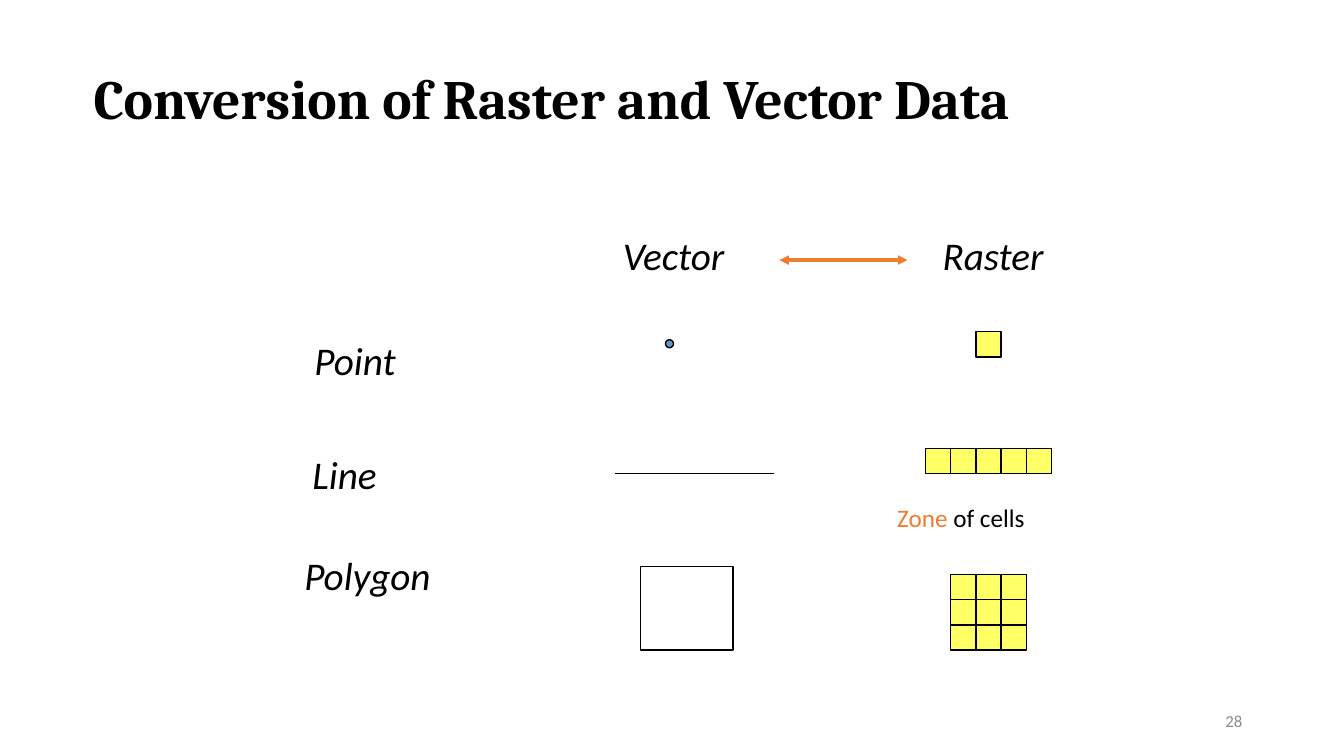
import pptx
import pptx.util
import pptx.dml.color
import pptx.enum.shapes
import pptx.enum.text
import pptx.oxml.ns
import lxml.etree

PX = 9144  # EMU per px, 100 px to the inch
THEME = {
    "ink": "000000", "accent": "ED7D31", "cell": "FFFF66", "dot": "5B9BD5", "muted": "8C8C8C",
    "heading": "Cambria", "body": "Calibri",
    "title_pt": 39.6, "label_pt": 28, "note_pt": 18, "number_pt": 12,
}
SHAPE = pptx.enum.shapes.MSO_SHAPE
ANCHOR = pptx.enum.text.MSO_ANCHOR
ALIGN = pptx.enum.text.PP_ALIGN

prs = pptx.Presentation()
prs.slide_width, prs.slide_height = 1333 * PX, 750 * PX
s = prs.slides.add_slide(prs.slide_layouts[6])


def add_text(box, runs, size, font="body", bold=False, italic=False,
             anchor=ANCHOR.TOP, align=ALIGN.LEFT):
    tf = s.shapes.add_textbox(*(v * PX for v in box)).text_frame
    tf.word_wrap = True
    tf.vertical_anchor = anchor
    p = tf.paragraphs[0]
    p.alignment = align
    for text, color in runs:
        r = p.add_run()
        r.text = text
        r.font.name = THEME[font]
        r.font.size = pptx.util.Pt(THEME[size])
        r.font.bold, r.font.italic = bold, italic
        r.font.color.rgb = pptx.dml.color.RGBColor.from_string(THEME[color])
    return p


def add_figure(kind, x, y, w, h, fill=None):
    sp = s.shapes.add_shape(kind, x * PX, y * PX, w * PX, h * PX)
    sp.shadow.inherit = False
    if fill:
        sp.fill.solid()
        sp.fill.fore_color.rgb = pptx.dml.color.RGBColor.from_string(THEME[fill])
    else:
        sp.fill.background()
    sp.line.color.rgb = pptx.dml.color.RGBColor.from_string(THEME["ink"])
    sp.line.width = pptx.util.Pt(1)


# Title
p = add_text((83, 38, 1002, 125), [("Conversion of Raster and Vector Data", "ink")],
             "title_pt", font="heading", bold=True, anchor=ANCHOR.MIDDLE)
p.line_spacing = 0.9

# Row and column labels
for text, x, y, w in [("Point", 302, 329, 140), ("Line", 300, 442, 94), ("Polygon", 292, 542, 160),
                      ("Vector", 608, 225, 133), ("Raster", 925, 225, 130)]:
    add_text((x, y, w, 57), [(text, "ink")], "label_pt", italic=True)

# Vector line and the two-way arrow between the column labels
for x1, x2, y, color, width, arrows in [(610, 768, 470, "ink", 1, False),
                                        (773, 900, 258, "accent", 2.25, True)]:
    line = s.shapes.add_connector(pptx.enum.shapes.MSO_CONNECTOR.STRAIGHT,
                                  x1 * PX, y * PX, x2 * PX, y * PX)
    line.line.color.rgb = pptx.dml.color.RGBColor.from_string(THEME[color])
    line.line.width = pptx.util.Pt(width)
    if arrows:
        for end in ("a:headEnd", "a:tailEnd"):
            lxml.etree.SubElement(line.line._get_or_add_ln(), pptx.oxml.ns.qn(end), type="triangle")
    lxml.etree.SubElement(line._element.spPr, pptx.oxml.ns.qn("a:effectLst"))

# Vector point and polygon
add_figure(SHAPE.OVAL, 660, 337, 8, 8, "dot")
add_figure(SHAPE.RECTANGLE, 635, 562, 92, 83)

# Raster point, line and polygon as grids of cells
CELL = 25
for left, top, cols, rows in [(968, 329, 1, 1), (918, 445, 5, 1), (943, 570, 3, 3)]:
    for row in range(rows):
        for col in range(cols):
            add_figure(SHAPE.RECTANGLE, left + col * CELL, top + row * CELL, CELL, CELL, "cell")

# Note and slide number
add_text((880, 493, 167, 40), [("Zone", "accent"), (" of cells", "ink")], "note_pt")
add_text((942, 695, 300, 40), [("28", "muted")], "number_pt",
         anchor=ANCHOR.MIDDLE, align=ALIGN.RIGHT)

prs.save("out.pptx")
